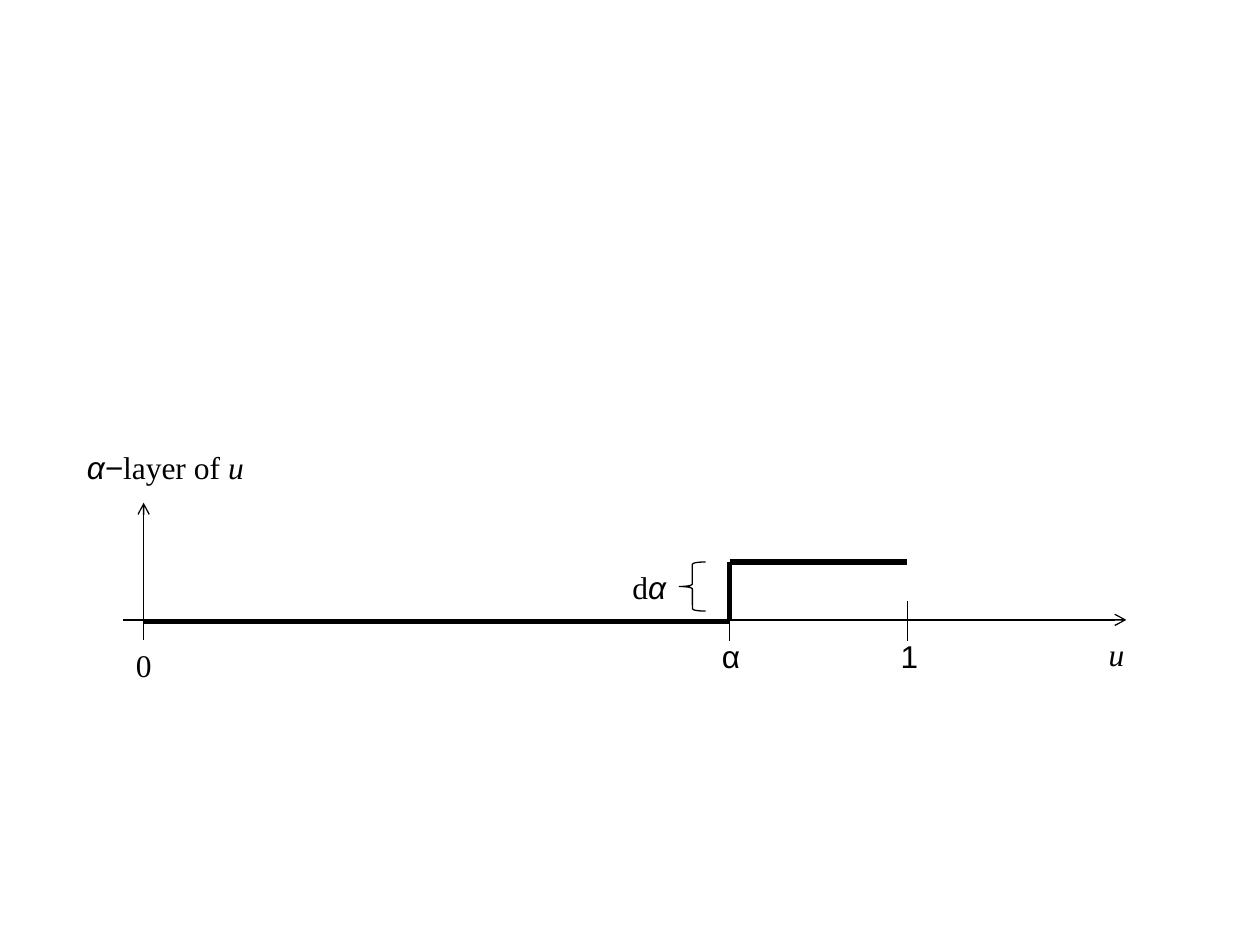
from dataclasses import dataclass

from lxml import etree
from pptx import Presentation
from pptx.dml.color import RGBColor
from pptx.enum.shapes import MSO_CONNECTOR, MSO_SHAPE
from pptx.enum.text import MSO_AUTO_SIZE
from pptx.oxml.ns import qn
from pptx.util import Inches, Pt

STRAIGHT = MSO_CONNECTOR.STRAIGHT
LEFT_BRACE = MSO_SHAPE.LEFT_BRACE
GROW = MSO_AUTO_SIZE.SHAPE_TO_FIT_TEXT


@dataclass(frozen=True)
class Theme:
    ink: RGBColor = RGBColor(0, 0, 0)
    serif: str = "Times New Roman"
    sans: str = "Arial"
    text_size: float = 18
    thin: float = 0.75
    thick: float = 3


class Diagram:
    def __init__(self, slide, theme):
        self.slide = slide
        self.theme = theme

    def stroke(self, shape, width):
        shape.line.color.rgb = self.theme.ink
        shape.line.width = Pt(width)

    def line(self, start, end, width, arrow=False):
        connector = self.slide.shapes.add_connector(
            STRAIGHT, *(Inches(v) for v in (*start, *end)))
        self.stroke(connector, width)
        if arrow:
            tail = etree.SubElement(connector.line._get_or_add_ln(), qn("a:tailEnd"))
            tail.set("type", "arrow")
        etree.SubElement(connector._element.spPr, qn("a:effectLst"))

    def brace(self, left, top, width, height):
        brace = self.slide.shapes.add_shape(
            LEFT_BRACE, *(Inches(v) for v in (left, top, width, height)))
        brace.shadow.inherit = False
        brace.fill.background()
        self.stroke(brace, self.theme.thin)

    def label(self, left, top, *parts, width=0.55):
        """Each part is (text, font name, italic)."""
        box = self.slide.shapes.add_textbox(
            *(Inches(v) for v in (left, top, width, 0.4)))
        frame = box.text_frame
        frame.word_wrap = True
        frame.auto_size = GROW
        paragraph = frame.paragraphs[0]
        paragraph.font.size = Pt(self.theme.text_size)
        paragraph.font.color.rgb = self.theme.ink
        for text, font, italic in parts:
            run = paragraph.add_run()
            run.text = text
            run.font.name = font
            run.font.italic = italic
            run.font.size = Pt(self.theme.text_size)
            run.font.color.rgb = self.theme.ink


theme = Theme()
presentation = Presentation()
presentation.slide_width = Inches(10)
presentation.slide_height = Inches(7.5)
slide = presentation.slides.add_slide(presentation.slide_layouts[6])
diagram = Diagram(slide, theme)

# Key positions on the axes
zero_x, alpha_x, one_x = 1.14, 5.79, 7.2
axis_y, base_y, step_y = 4.92, 4.93, 4.46

# Horizontal axis with its ticks
diagram.line((0.98, axis_y), (8.94, axis_y), theme.thin, arrow=True)
for tick_x, tick_top in ((zero_x, 4.76), (alpha_x, 4.77), (one_x, 4.77)):
    diagram.line((tick_x, tick_top), (tick_x, tick_top + 0.32), theme.thin)

# Step function
corners = [(zero_x, base_y), (alpha_x, base_y), (alpha_x, step_y), (one_x, step_y)]
for start, end in zip(corners, corners[1:]):
    diagram.line(start, end, theme.thick)

# Step height and vertical axis
diagram.brace(5.39, step_y, 0.21, 0.39)
diagram.line((zero_x, base_y), (zero_x, 3.99), theme.thin, arrow=True)

# Labels
diagram.label(0.98, 5.08, ("0", theme.serif, False))
diagram.label(5.63, 5.01, ("α", theme.sans, False))
diagram.label(7.05, 5.01, ("1", theme.sans, False))
diagram.label(8.7, 4.99, ("u", theme.serif, True))
diagram.label(4.92, 4.46, ("d", theme.serif, False), ("α", theme.sans, True))
diagram.label(0.59, 3.51, ("α−", theme.sans, True),
              ("layer of ", theme.serif, False), ("u", theme.serif, True), width=2.99)

presentation.save("out.pptx")
